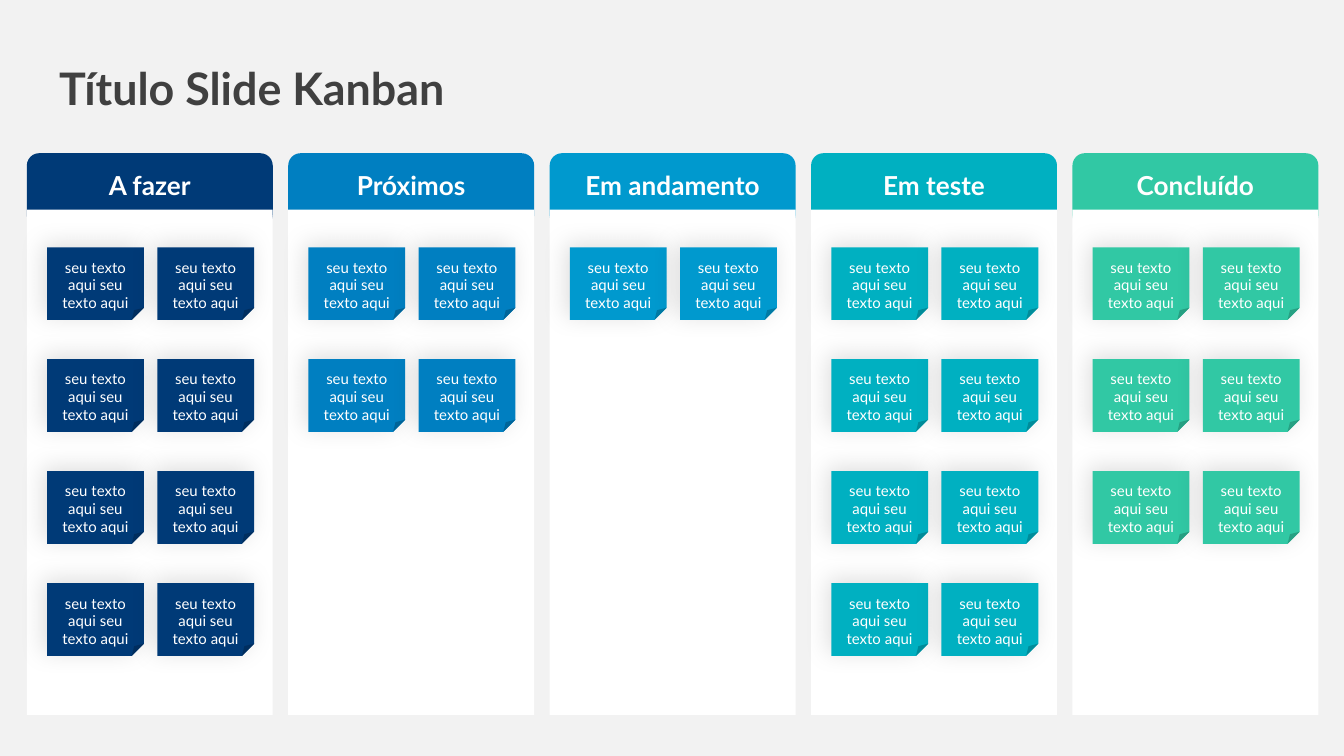
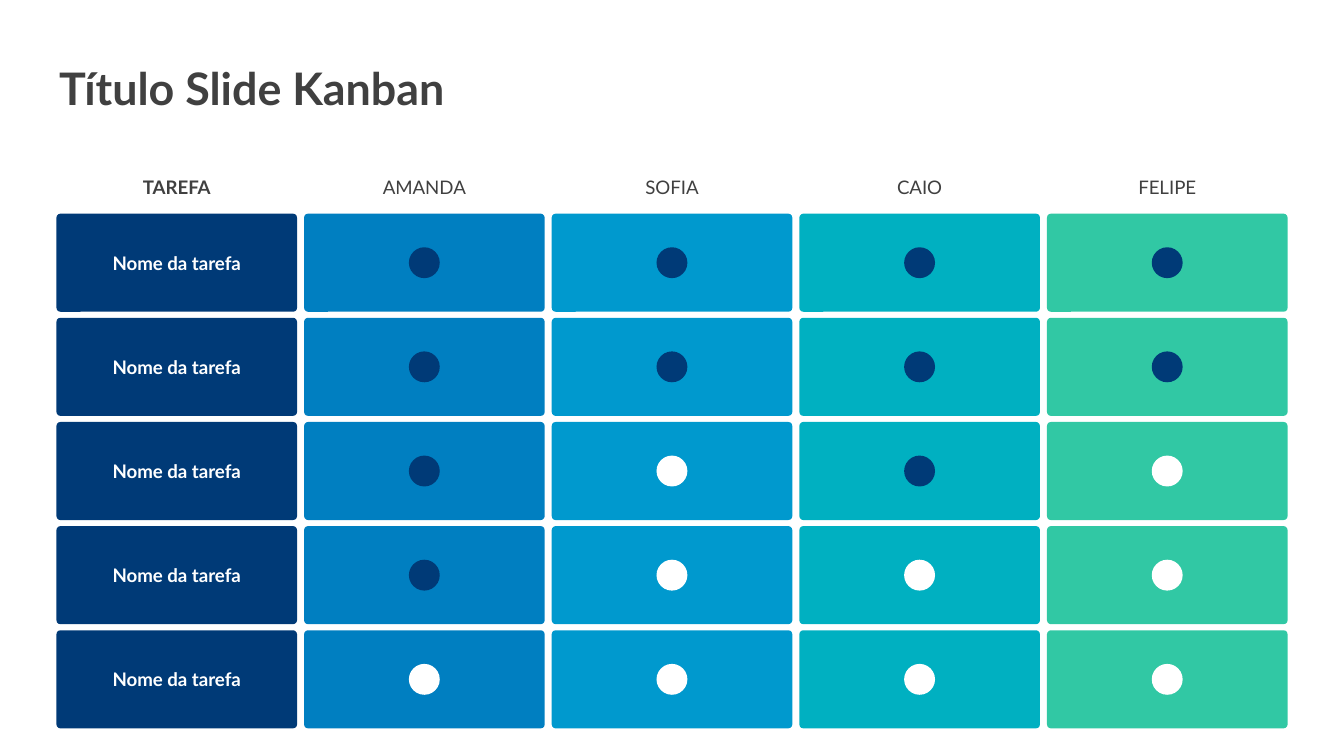
from lxml import etree
from pptx import Presentation
from pptx.dml.color import RGBColor
from pptx.enum.shapes import MSO_SHAPE
from pptx.enum.text import MSO_ANCHOR, MSO_AUTO_SIZE, PP_ALIGN
from pptx.oxml.ns import qn
from pptx.util import Inches, Pt

FONT = "Lato"
PAGE_WIDTH = 10
PAGE_HEIGHT = PAGE_WIDTH * 9 / 16
NAVY, WHITE, INK, MIST = "003A77", "FFFFFF", "404040", "F2F2F2"
COLUMN_COLOURS = [NAVY, "007FC1", "0099CE", "00B0C1", "31C8A4"]
TITLE = "Título Slide Kanban"
CARD_TEXT = "seu texto aqui seu texto aqui"
STAGES = [("A fazer", 4), ("Próximos", 2), ("Em andamento", 1), ("Em teste", 4), ("Concluído", 3)]
TASK = "Nome da tarefa"
TASK_COUNT = 5
PEOPLE = [("AMANDA", 4), ("SOFIA", 2), ("CAIO", 3), ("FELIPE", 2)]


def colour(value):
    """Turn a hex string into a colour."""
    return RGBColor.from_string(value)


def spread(first, last, count):
    """Give evenly spaced positions from first to last."""
    return [first + (last - first) * index / (count - 1) for index in range(count)]


def write(shape, text, size, ink, bold=False, align=PP_ALIGN.CENTER,
          anchor=MSO_ANCHOR.MIDDLE, insets=(0.1, 0.05, 0.1, 0.05)):
    """Put one formatted paragraph into a shape."""
    frame = shape.text_frame
    frame.word_wrap = True
    frame.vertical_anchor = anchor
    frame.margin_left, frame.margin_top, frame.margin_right, frame.margin_bottom = map(Inches, insets)
    para = frame.paragraphs[0]
    para.text = text
    para.alignment = align
    para.font.name = FONT
    para.font.size = Pt(size)
    para.font.bold = bold
    para.font.color.rgb = colour(ink)


def add_block(shapes, kind, box, fill):
    """Add a plain filled shape without line or shadow."""
    block = shapes.add_shape(kind, *map(Inches, box))
    block.shadow.inherit = False
    block.fill.solid()
    block.fill.fore_color.rgb = colour(fill)
    block.line.fill.background()
    return block


def add_soft_shadow(shape):
    """Give a shape a faint shadow towards the upper left."""
    effects = shape.element.spPr.find(qn("a:effectLst"))
    shadow = etree.SubElement(effects, qn("a:outerShdw"), blurRad=str(Pt(13)), dist=str(Pt(3)),
                              dir=str(225 * 60000), algn="br", rotWithShape="0")
    tint = etree.SubElement(shadow, qn("a:srgbClr"), val="000000")
    etree.SubElement(tint, qn("a:alpha"), val="12000")


def place_title(page, top, height):
    """Move the title placeholder to its box, in front of the background."""
    title = page.shapes.title
    title.element.getparent().append(title.element)
    title.left, title.top, title.width, title.height = map(Inches, (0.34, top, 7.18, height))
    write(title, TITLE, 24, INK, bold=True, align=PP_ALIGN.LEFT)
    title.text_frame.auto_size = MSO_AUTO_SIZE.SHAPE_TO_FIT_TEXT


def add_lane(page, left, top, stage, fill):
    """Draw one stage heading over its white lane."""
    lane = page.shapes.add_group_shape()
    heading = add_block(lane.shapes, MSO_SHAPE.ROUNDED_RECTANGLE, (left, top, 1.83, 0.55), fill)
    write(heading, stage, 14, WHITE, bold=True, insets=(0.1, 0, 0.1, 0.08))
    add_block(lane.shapes, MSO_SHAPE.RECTANGLE, (left, top + 0.42, 1.83, 3.76), WHITE)


def add_cards(page, left, top, rows, fill):
    """Draw two columns of note cards, filled from the top."""
    for card_left in (left, left + 0.82):
        for card_top in spread(top, top + 2.5, 4)[:rows]:
            card = add_block(page.shapes, MSO_SHAPE.FOLDED_CORNER, (card_left, card_top, 0.72, 0.54), fill)
            add_soft_shadow(card)
            write(card, CARD_TEXT, 8, WHITE, insets=(0.04, 0.16, 0.04, 0.05))


def build_board(page):
    """Build the board of stages with note cards."""
    add_block(page.shapes, MSO_SHAPE.RECTANGLE, (0, 0, PAGE_WIDTH, PAGE_HEIGHT), MIST)
    place_title(page, 0.4, 0.5)
    lanes = list(zip(spread(0.2, 7.98, len(STAGES)), STAGES, COLUMN_COLOURS))
    for left, (stage, rows), fill in lanes:
        add_lane(page, left, 1.14, stage, fill)
    for left, (stage, rows), fill in lanes:
        add_cards(page, left + 0.15, 1.84, rows, fill)


def add_heading(page, left, top, text, bold):
    """Write the heading above a column of the task grid."""
    heading = page.shapes.add_textbox(*map(Inches, (left, top, 1.87, 0.27)))
    write(heading, text, 10, INK, bold=bold, anchor=MSO_ANCHOR.TOP)
    heading.text_frame.auto_size = MSO_AUTO_SIZE.SHAPE_TO_FIT_TEXT


def add_cell(page, left, top, fill):
    """Draw one rounded cell of the task grid."""
    cell = add_block(page.shapes, MSO_SHAPE.ROUNDED_RECTANGLE, (left, top, 1.79, 0.73), fill)
    cell.adjustments[0] = 0.04
    return cell


def build_task_grid(page):
    """Build the grid of tasks against people with status dots."""
    place_title(page, 0.44, 0.42)
    lefts = spread(0.42, 7.79, len(PEOPLE) + 1)
    tops = spread(1.59, 4.69, TASK_COUNT)
    for top in tops:
        write(add_cell(page, lefts[0], top, NAVY), TASK, 10, WHITE, bold=True)
    add_heading(page, lefts[0] - 0.04, 1.26, "TAREFA", True)
    for left, (person, done) in zip(lefts[1:], PEOPLE):
        add_heading(page, left - 0.04, 1.26, person, False)
    for left, (person, done), fill in zip(lefts[1:], PEOPLE, COLUMN_COLOURS[1:]):
        for row, top in enumerate(tops):
            add_cell(page, left, top, fill)
            add_block(page.shapes, MSO_SHAPE.OVAL, (left + 0.78, top + 0.25, 0.23, 0.23),
                      NAVY if row < done else WHITE)


def main():
    """Build and save the deck."""
    deck = Presentation()
    deck.slide_width, deck.slide_height = Inches(PAGE_WIDTH), Inches(PAGE_HEIGHT)
    for build in (build_board, build_task_grid):
        build(deck.slides.add_slide(deck.slide_layouts[5]))
    deck.save("out.pptx")


if __name__ == "__main__":
    main()
